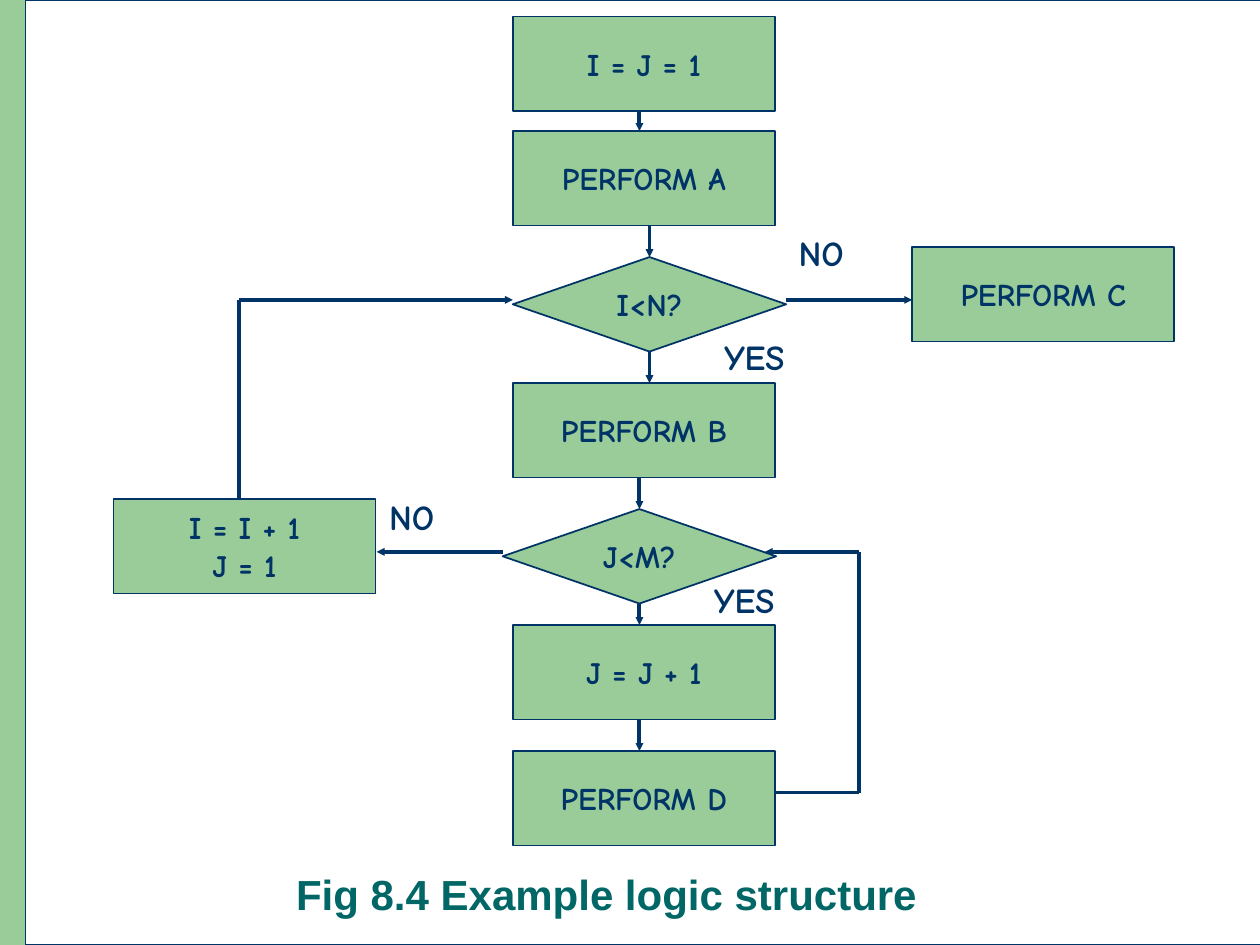
"""Builds the slide with the flowchart of an example logic structure."""
from lxml import etree
from pptx import Presentation
from pptx.dml.color import RGBColor
from pptx.enum import shapes, text
from pptx.oxml.ns import qn
from pptx.util import Inches, Pt

THEME = {
    "green": "99CC99", "navy": "003366", "teal": "006666", "white": "FFFFFF",
    "caption_font": "Arial", "flow_font": "Comic Neue",
    "caption": 24, "step": 18, "answer": 20,
    "panel_line": 0.75, "outline": 1, "flow": 2.25,
}
CAPTION = "Fig 8.4 Example logic structure"
STEP_SIZE, TEST_SIZE, ANSWER_SIZE = (2.08, 0.75), (2.17, 0.75), (0.83, 0.43)
COLUMN = 4.07
STEPS = {
    "start": ("I = J = 1", COLUMN, 0.13),
    "A": ("PERFORM A", COLUMN, 1.04),
    "B": ("PERFORM B", COLUMN, 3.04),
    "next J": ("J = J + 1", COLUMN, 4.96),
    "D": ("PERFORM D", COLUMN, 5.96),
    "C": ("PERFORM C", 7.24, 1.96),
    "next I": ("I = I + 1\nJ = 1", 0.9, 3.96),
}
TESTS = {"outer": ("I<N?", COLUMN, 2.04), "inner": ("J<M?", 3.99, 4.04)}
ANSWERS = [("NO", 6.24, 1.79), ("YES", 5.65, 2.61),
           ("NO", 2.99, 3.88), ("YES", 5.57, 4.54)]
DOWNWARD = [("start", "A", "inner"), ("A", "outer", "outer"),
            ("outer", "B", "outer"), ("B", "inner", "inner"),
            ("inner", "next J", "inner"), ("next J", "D", "inner")]
OUTER_Y, INNER_Y, D_Y = 2.38, 4.38, 6.29
LOOP_I, LOOP_J = 1.9, 6.82
ROUTES = [
    [(3.99, INNER_Y), (2.99, INNER_Y)],
    [(6.24, OUTER_Y), (7.24, OUTER_Y)],
    [(6.15, D_Y), (LOOP_J, D_Y), (LOOP_J, INNER_Y), (6.07, INNER_Y)],
    [(LOOP_I, 3.96), (LOOP_I, OUTER_Y), (COLUMN, OUTER_Y)],
]
TOP, BOTTOM = 0, 2


def color(name):
    return RGBColor.from_string(THEME[name])


def write(shape, words, size="step", font="flow_font", ink="navy",
          align=text.PP_ALIGN.CENTER, anchor=text.MSO_ANCHOR.MIDDLE,
          wrap=False, spacing=None):
    frame = shape.text_frame
    frame.text = words
    frame.auto_size = text.MSO_AUTO_SIZE.NONE
    frame.word_wrap, frame.vertical_anchor = wrap, anchor
    for paragraph in frame.paragraphs:
        paragraph.alignment, paragraph.line_spacing = align, spacing
        for run in paragraph.runs:
            run.font.name, run.font.size = THEME[font], Pt(THEME[size])
            run.font.bold, run.font.color.rgb = True, color(ink)


def add_block(slide, kind, left, top, width, height, fill="green", line="outline"):
    block = slide.shapes.add_shape(kind, *map(Inches, (left, top, width, height)))
    block.shadow.inherit = False
    block.fill.solid()
    block.fill.fore_color.rgb = color(fill)
    if line:
        block.line.color.rgb, block.line.width = color("navy"), Pt(THEME[line])
    else:
        block.line.fill.background()
    return block


def add_flow(slide, start, end, arrow=True):
    flow = slide.shapes.add_connector(
        shapes.MSO_CONNECTOR.STRAIGHT, *map(Inches, (*start, *end)))
    flow.line.color.rgb, flow.line.width = color("navy"), Pt(THEME["flow"])
    if arrow:
        etree.SubElement(flow.line._get_or_add_ln(), qn("a:tailEnd"),
                         type="triangle", w="sm", len="sm")
    etree.SubElement(flow._element.spPr, qn("a:effectLst"))
    return flow


def main():
    deck = Presentation()
    deck.slide_width, deck.slide_height = Inches(10), Inches(7.5)
    slide = deck.slides.add_slide(deck.slide_layouts[5])
    rect, diamond = shapes.MSO_SHAPE.RECTANGLE, shapes.MSO_SHAPE.DIAMOND

    add_block(slide, rect, 0, 0, 0.81, 7.5, line=None)
    add_block(slide, rect, 0.73, 0, 2.69, 1.17, line=None)
    add_block(slide, rect, 0.2, 0, 9.84, 7.5, fill="white", line="panel_line")

    caption = slide.shapes.title
    slide.shapes._spTree.append(caption._element)
    caption.left, caption.top = Inches(2.25), Inches(6.78)
    caption.width, caption.height = Inches(5.74), Inches(0.67)
    write(caption, CAPTION, size="caption", font="caption_font", ink="teal",
          align=text.PP_ALIGN.LEFT, wrap=True, spacing=0.9)

    nodes, places = {}, {}
    for kind, group, size in ((rect, STEPS, STEP_SIZE), (diamond, TESTS, TEST_SIZE)):
        for key, (words, left, top) in group.items():
            nodes[key] = add_block(slide, kind, left, top, *size)
            places[key] = (left, top, *size)
            write(nodes[key], words)

    for words, left, top in ANSWERS:
        answer = slide.shapes.add_textbox(*map(Inches, (left, top, *ANSWER_SIZE)))
        write(answer, words, size="answer", align=text.PP_ALIGN.LEFT,
              anchor=text.MSO_ANCHOR.TOP, wrap=True)

    for source, target, axis in DOWNWARD:
        x = places[axis][0] + TEST_SIZE[0] / 2
        flow = add_flow(slide, (x, places[source][1] + places[source][3]),
                        (x, places[target][1]))
        if source in TESTS:
            flow.begin_connect(nodes[source], BOTTOM)
        if target in TESTS:
            flow.end_connect(nodes[target], TOP)

    for route in ROUTES:
        for start, end in zip(route, route[1:]):
            add_flow(slide, start, end, arrow=end == route[-1])

    deck.save("out.pptx")


if __name__ == "__main__":
    main()
